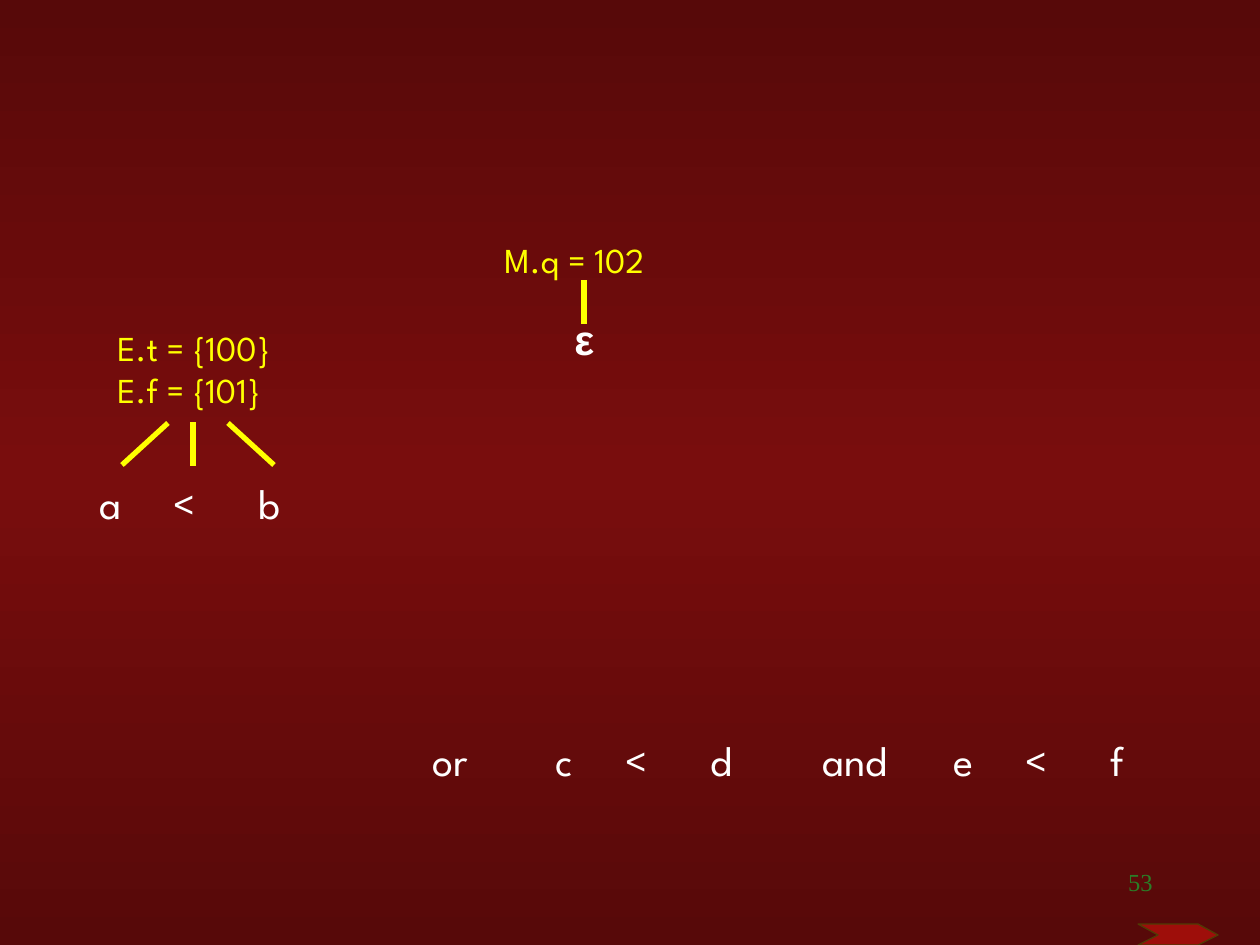
from copy import deepcopy

from lxml import etree
from pptx import Presentation
from pptx.dml.color import RGBColor
from pptx.enum.shapes import MSO_CONNECTOR
from pptx.enum.text import PP_ALIGN
from pptx.oxml.ns import qn
from pptx.util import Pt

SCALE = 914400 / 126
STRAIGHT = MSO_CONNECTOR.STRAIGHT
LEFT, RIGHT = PP_ALIGN.LEFT, PP_ALIGN.RIGHT
YELLOW, WHITE = "FFFF00", "FFFFFF"


def px(n):
    return round(n * SCALE)


def color(code):
    return RGBColor.from_string(code)


def write(frame, text, size=24, font="League Spartan", fill=WHITE,
          bold=False, align=LEFT, tabs=()):
    for i, line in enumerate(text.split("\n")):
        para = frame.add_paragraph() if i else frame.paragraphs[0]
        para.alignment = align
        if tabs:
            stops = etree.SubElement(para._p.get_or_add_pPr(), qn("a:tabLst"))
            for pos in tabs:
                etree.SubElement(stops, qn("a:tab"), pos=str(px(pos)), algn="l")
        run = para.add_run()
        run.text = text if tabs else line
        run.font.size = Pt(size)
        run.font.name = font
        run.font.bold = bold
        run.font.color.rgb = color(fill)


class Page:
    def __init__(self, deck):
        self.slide = deck.slides.add_slide(deck.slide_layouts[6])
        self.shapes = self.slide.shapes

    def back(self, edge, mid):
        fill = self.slide.background.fill
        fill.gradient()
        fill.gradient_angle = 270
        stops = self.slide.element.find(".//" + qn("a:gsLst"))
        stops.insert(1, deepcopy(stops[0]))
        for stop, pos, code in zip(fill.gradient_stops, (0, 0.5, 1), (edge, mid, edge)):
            stop.position = pos
            stop.color.rgb = color(code)

    def text(self, x, y, w, h, words, **style):
        frame = self.shapes.add_textbox(px(x), px(y), px(w), px(h)).text_frame
        frame.word_wrap = True
        if style.get("align", LEFT) == LEFT:
            frame.margin_right = 0
        write(frame, words, **style)

    def line(self, x1, y1, x2, y2):
        line = self.shapes.add_connector(STRAIGHT, px(x1), px(y1), px(x2), px(y2))
        line.line.color.rgb = color(YELLOW)
        line.line.width = Pt(3)
        etree.SubElement(line._element.spPr, qn("a:effectLst"))

    def shape(self, points, fill, edge):
        pen = self.shapes.build_freeform(*points[0], scale=SCALE)
        pen.add_line_segments(points[1:], close=True)
        shape = pen.convert_to_shape()
        shape.shadow.inherit = False
        shape.fill.solid()
        shape.fill.fore_color.rgb = color(fill)
        shape.line.color.rgb = color(edge)
        shape.line.width = Pt(0.75)


def main():
    deck = Presentation()
    deck.slide_width, deck.slide_height = px(1260), px(945)
    page = Page(deck)
    page.back("570909", "790D0D")

    page.text(105, 320, 192, 97, "E.t = {100}\nE.f = {101}", size=20, fill=YELLOW)
    page.text(492, 232, 187, 55, "M.q = 102", size=20, fill=YELLOW)
    page.text(562, 307, 43, 63, "ε", font="Arial", bold=True)

    tests = [(87, 471, "a\t<\tb", 74), (543, 728, "c\t<\td", 70), (941, 728, "e\t<\tf", 72)]
    for x, y, words, tab in tests:
        page.text(x, y, 218, 63, words, tabs=(tab, tab + 85))
    for x, w, word in [(420, 68, "or"), (810, 101, "and")]:
        page.text(x, 728, w, 63, word)

    for ends in [(122, 465, 168, 423), (274, 465, 228, 423),
                 (193, 466, 193, 422), (584, 324, 584, 280)]:
        page.line(*ends)

    page.shape([(1138, 924), (1198, 924), (1218, 935), (1198, 945),
                (1138, 945), (1158, 935)], "9E0E0A", "503C04")
    page.text(903, 861, 262, 63, "53", size=14, font="Times New Roman",
              fill="2B7D27", align=RIGHT)
    deck.save("out.pptx")


if __name__ == "__main__":
    main()
